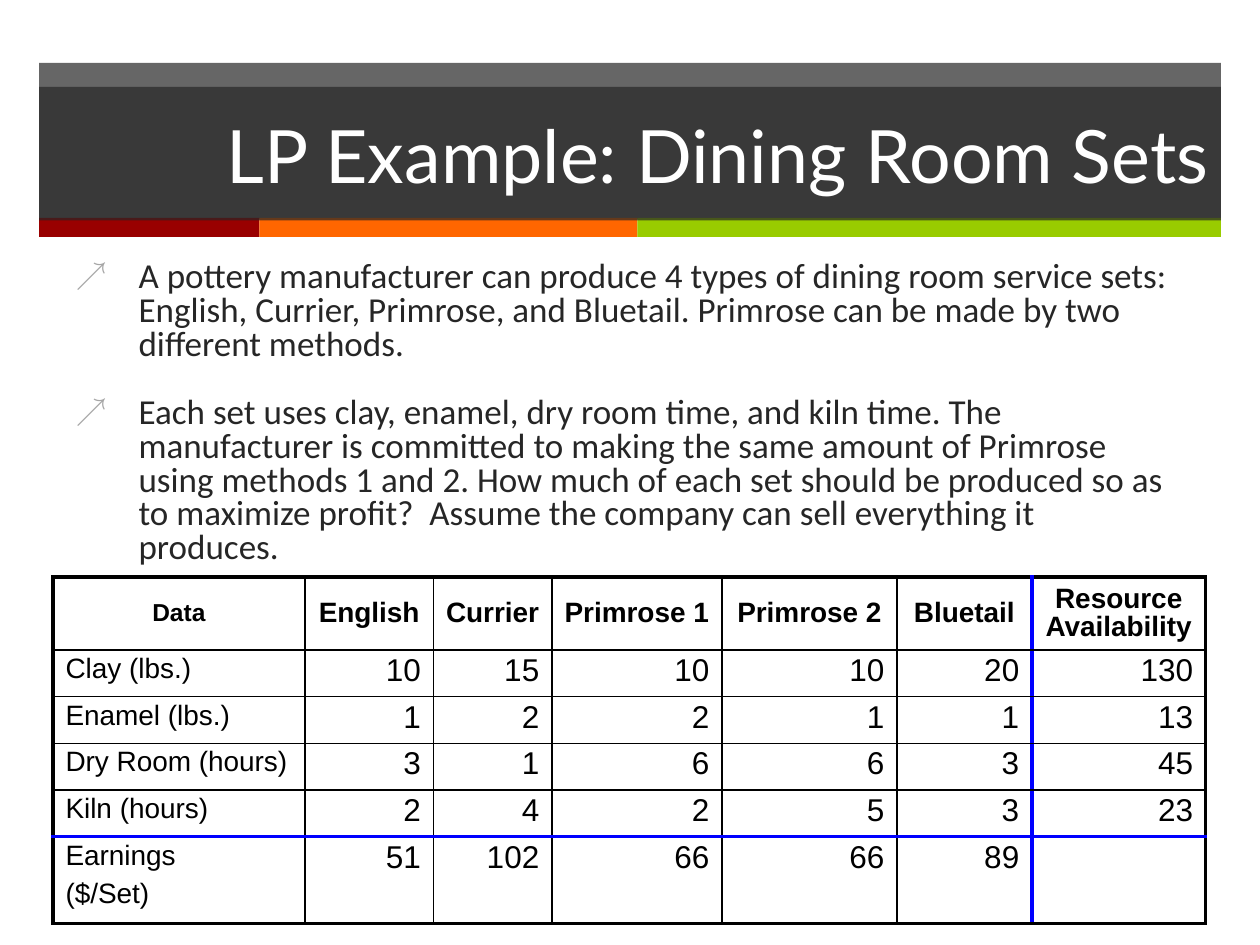
import pptx
import pptx.util
import pptx.dml.color
import pptx.enum.shapes
import pptx.enum.text
import lxml.etree

Inches = pptx.util.Inches
Pt = pptx.util.Pt
Align = pptx.enum.text.PP_ALIGN
Anchor = pptx.enum.text.MSO_ANCHOR
colors = {"dark": "262626", "red": "990000", "orange": "FF6600", "green": "99CC00",
          "white": "FFFFFF", "gray": "A6A6A6", "black": "000000", "blue": "0000FF"}
space = "http://schemas.openxmlformats.org/drawingml/2006/main"


def add(parent, tag, **attrs):
    return lxml.etree.SubElement(parent, "{%s}%s" % (space, tag), attrs)


def style(para, size, face, color, bold=False):
    for run in para.runs:
        run.font.size = Pt(size)
        run.font.name = face
        run.font.bold = bold
        run.font.color.rgb = pptx.dml.color.RGBColor.from_string(colors[color])


deck = pptx.Presentation()
deck.slide_width = Inches(10)
deck.slide_height = Inches(7.5)
slide = deck.slides.add_slide(deck.slide_layouts[1])
shapes = slide.shapes
title = shapes.title
body = slide.placeholders[1]

bands = [(0.31, 0.5, 9.38, 1.24, "dark"), (0.31, 1.73, 1.75, 0.15, "red"),
         (2.06, 1.73, 3, 0.15, "orange"), (5.06, 1.73, 4.63, 0.15, "green")]
panels = [title]
for left, top, width, height, color in bands:
    band = shapes.add_shape(pptx.enum.shapes.MSO_SHAPE.RECTANGLE, Inches(left),
                            Inches(top), Inches(width), Inches(height))
    band.shadow.inherit = False
    band.line.fill.background()
    band.fill.solid()
    band.fill.fore_color.rgb = pptx.dml.color.RGBColor.from_string(colors[color])
    if color == "dark":
        panels.append(band)

title.left, title.top = Inches(0.31), Inches(0.69)
title.width, title.height = Inches(9.38), Inches(1.06)
title.fill.solid()
title.fill.fore_color.rgb = pptx.dml.color.RGBColor.from_string(colors["dark"])
for panel in panels:
    for tint in panel._element.spPr.iter("{%s}srgbClr" % space):
        add(tint, "alpha", val="70000")
title.text_frame.text = "LP Example: Dining Room Sets"
title.text_frame.auto_size = pptx.enum.text.MSO_AUTO_SIZE.NONE
title.text_frame.vertical_anchor = Anchor.MIDDLE
title.text_frame.paragraphs[0].alignment = Align.RIGHT
style(title.text_frame.paragraphs[0], 42, "Lato", "white")

body.left, body.top = Inches(0.5), Inches(2.03)
body.width, body.height = Inches(8.92), Inches(2.5)
points = [
    "A pottery manufacturer can produce 4 types of dining room service sets: English, "
    "Currier, Primrose, and Bluetail. Primrose can be made by two different methods.",
    "Each set uses clay, enamel, dry room time, and kiln time. The manufacturer is "
    "committed to making the same amount of Primrose using methods 1 and 2. How much of "
    "each set should be produced so as to maximize profit?  Assume the company can sell "
    "everything it produces."]
body.text_frame.text = "\n".join(points)
body.text_frame.auto_size = pptx.enum.text.MSO_AUTO_SIZE.NONE
for index, para in enumerate(body.text_frame.paragraphs):
    para.line_spacing = 0.8
    para.space_before = Pt(20 * index)
    style(para, 20, "Calibri", "dark")
    props = para._p.get_or_add_pPr()
    props.set("marL", str(Inches(0.5)))
    props.set("indent", str(Inches(-0.5)))
    add(add(props, "buClr"), "srgbClr", val=colors["gray"])
    add(props, "buSzPct", val="90000")
    add(props, "buChar", char="\u2197")

for shape in (title, body):
    shapes._spTree.append(shape._element)

rows = [
    ["Data", "English", "Currier", "Primrose 1", "Primrose 2", "Bluetail",
     "Resource Availability"],
    ["Clay (lbs.)", "10", "15", "10", "10", "20", "130"],
    ["Enamel (lbs.)", "1", "2", "2", "1", "1", "13"],
    ["Dry Room (hours)", "3", "1", "6", "6", "3", "45"],
    ["Kiln (hours)", "2", "4", "2", "5", "3", "23"],
    ["Earnings\n($/Set)", "51", "102", "66", "66", "89", ""]]
widths = [2, 1.02, 0.94, 1.35, 1.39, 1.07, 1.38]
heights = [0.58, 0.37, 0.37, 0.37, 0.37, 0.69]
table = shapes.add_table(len(rows), len(widths), Inches(0.42), Inches(4.58),
                         Inches(9.15), Inches(2.75)).table
table.first_row = table.horz_banding = False
for column, width in zip(table.columns, widths):
    column.width = Inches(width)
for row, height in zip(table.rows, heights):
    row.height = Inches(height)

thin, thick, blue = ("black", 1), ("black", 2.25), ("blue", 2.25)
across = [thick, thin, thin, thin, thin, blue, thick]
down = [thick, thin, thin, thin, thin, thin, blue, thick]
for r, row in enumerate(rows):
    for c, text in enumerate(row):
        cell = table.cell(r, c)
        cell.text_frame.text = text
        cell.vertical_anchor = Anchor.TOP if r else Anchor.MIDDLE
        size = 14 if r + c == 0 else 16 if r * c == 0 else 18
        for index, para in enumerate(cell.text_frame.paragraphs):
            para.alignment = Align.CENTER if r == 0 else Align.RIGHT if c else Align.LEFT
            para.line_spacing = 0.9
            para.space_before = Pt(6 * index)
            style(para, size, "Arial", "black", r == 0)
        props = cell._tc.get_or_add_tcPr()
        edges = {"lnL": down[c], "lnR": down[c + 1], "lnT": across[r], "lnB": across[r + 1]}
        for tag, (color, weight) in edges.items():
            line = add(props, tag, w=str(Pt(weight)))
            add(add(line, "solidFill"), "srgbClr", val=colors[color])
        cell.fill.background()

deck.save("out.pptx")
